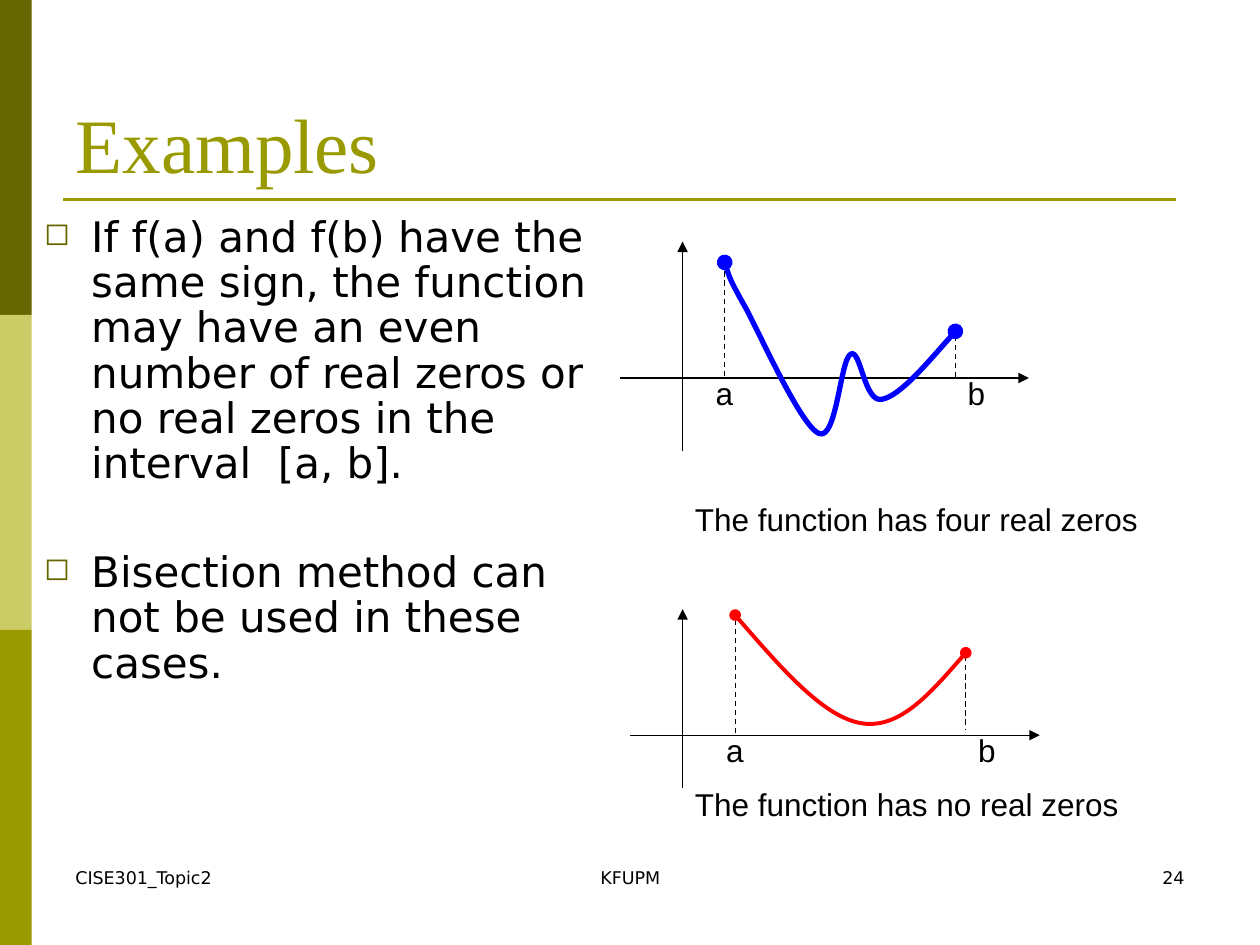
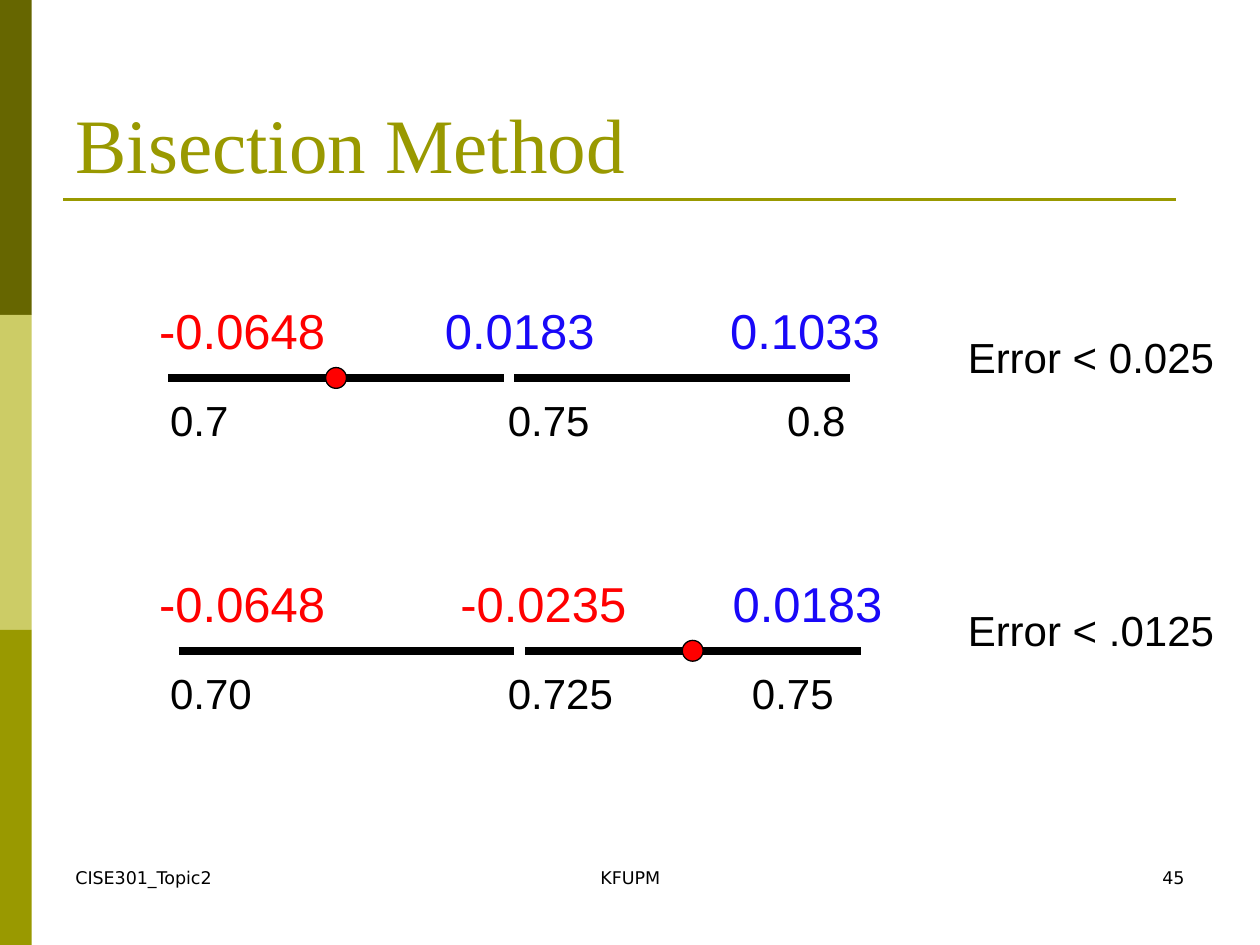
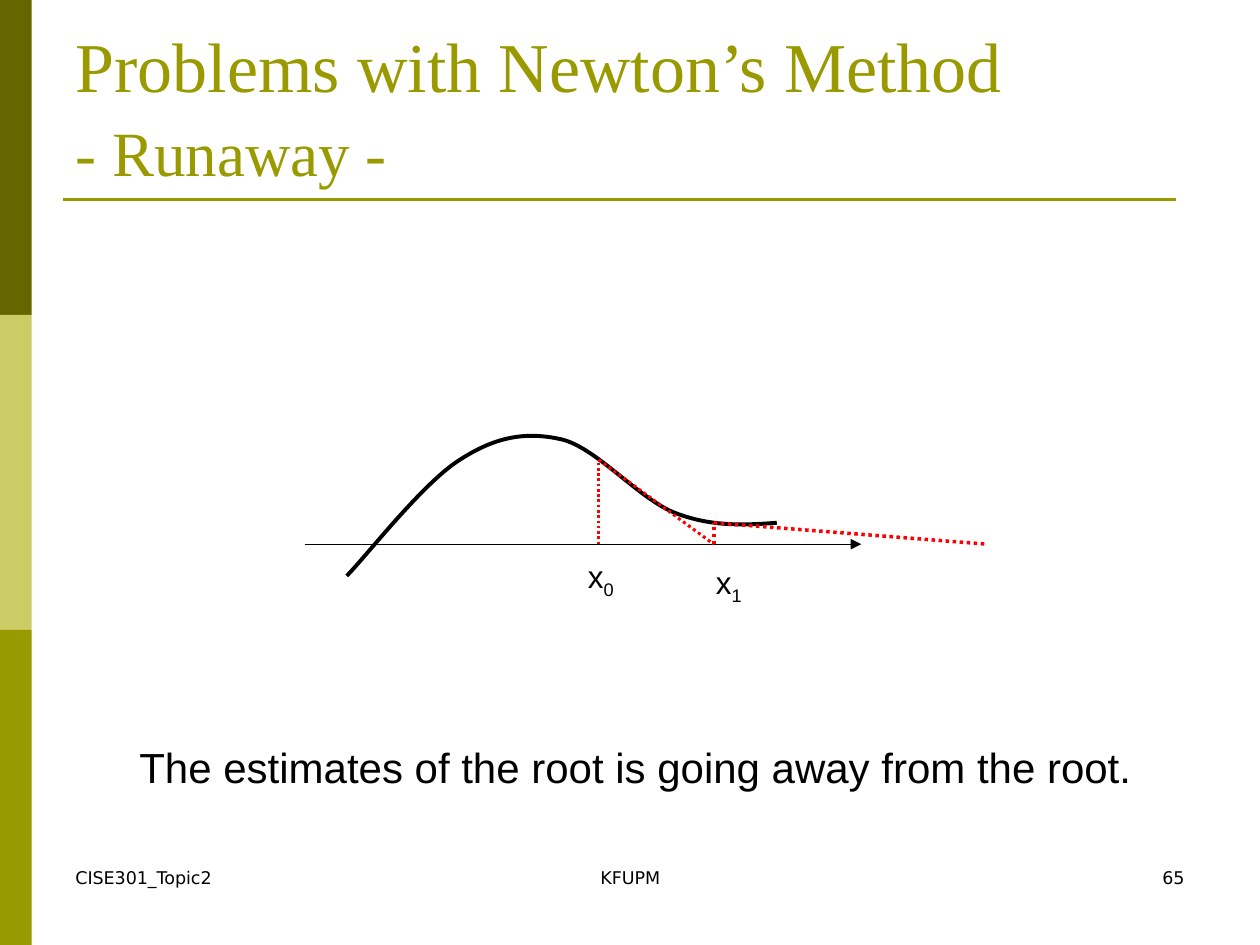
from lxml import etree
from pptx import Presentation
from pptx.dml.color import RGBColor
from pptx.enum.dml import MSO_LINE
from pptx.enum.shapes import MSO_CONNECTOR, MSO_SHAPE
from pptx.enum.text import MSO_ANCHOR, MSO_AUTO_SIZE, PP_ALIGN
from pptx.oxml.ns import qn
from pptx.util import Cm, Pt

LEFT, CENTER, RIGHT = PP_ALIGN.LEFT, PP_ALIGN.CENTER, PP_ALIGN.RIGHT
DASH, DOT = MSO_LINE.DASH, MSO_LINE.ROUND_DOT
STRAIGHT = MSO_CONNECTOR.STRAIGHT
RECTANGLE, OVAL = MSO_SHAPE.RECTANGLE, MSO_SHAPE.OVAL
TITLE_ONLY = 5

COLORS = {
    "olive": "999900", "dark olive": "666600", "pale olive": "CCCC66",
    "black": "000000", "red": "FF0000", "blue": "0000FF", "violet blue": "1908F8",
}
SANS, BODY, SERIF = "Arial", "DejaVu Sans", "Times New Roman"

BANDS = ["dark olive", "pale olive", "olive"]
BAND_WIDTH, BAND_HEIGHT = 0.64, 6.35
COURSE, SCHOOL = "CISE301_Topic2", "KFUPM"

BULLETS = [
    "If f(a) and f(b) have the same sign, the function may have an even number "
    "of real zeros or no real zeros in the interval  [a, b].",
    "Bisection method can not be used in these cases.",
]
GRAPHS = [
    {
        "caption": "The function has four real zeros", "caption_top": 9.95,
        "color": "blue", "weight": 3,
        "axis_x": (12.49, 20.74), "axis_y": (9.1, 4.87), "zero": 7.62,
        "a": (14.61, 5.29, 7.62), "b": (19.26, 6.77, 7.62),
        "curve": [
            (14.61, 5.29),
            (14.66, 5.46), (14.71, 5.64), (15.04, 6.22),
            (15.34, 6.78), (16.15, 8.59), (16.51, 8.74),
            (16.87, 8.89), (16.94, 7.24), (17.15, 7.14),
            (17.35, 7.01), (17.42, 8.13), (17.78, 8.05),
            (18.14, 7.98), (18.69, 7.32), (19.26, 6.68),
        ],
    },
    {
        "caption": "The function has no real zeros", "caption_top": 15.7,
        "color": "red", "weight": 2.25,
        "axis_x": (12.7, 20.96), "axis_y": (15.88, 12.28), "zero": 14.82,
        "a": (14.82, 12.49, 14.82), "b": (19.47, 13.23, 14.71),
        "curve": [
            (14.82, 12.4),
            (15.7, 13.41), (16.59, 14.45), (17.36, 14.58),
            (18.14, 14.71), (18.8, 13.92), (19.47, 13.16),
        ],
    },
]
ORIGIN_X = 13.76

INTERVALS = [
    {
        "values": ["-0.0648", "0.0183", "0.1033"], "value_tabs": [5.76, 11.51],
        "points": ["0.7", "0.75", "0.8"], "point_tabs": [6.81, 12.44],
        "error": "Error < 0.025", "start": 3.39, "level": 7.62, "root_half": 0,
    },
    {
        "values": ["-0.0648", "-0.0235", "0.0183"], "value_tabs": [6.07, 11.56],
        "points": ["0.70", "0.725", "0.75"], "point_tabs": [6.81, 11.73],
        "error": "Error < .0125", "start": 3.6, "level": 13.12, "root_half": 1,
    },
]
HALF_LENGTH, HALF_GAP, ROOT_SIZE = 6.77, 0.21, 0.42

RUNAWAY_CURVE = [
    (15.66, 10.54),
    (14.99, 10.59), (14.33, 10.62), (13.61, 10.34),
    (12.88, 10.06), (12.04, 9.04), (11.33, 8.86),
    (10.59, 8.69), (9.98, 8.81), (9.27, 9.27),
    (8.53, 9.73), (7.37, 11.23), (6.99, 11.61),
]
NEWTON_STEPS = [(12.07, 10.97), (12.07, 9.27), (14.39, 10.97), (14.39, 10.54), (19.9, 10.97)]
STEP_WEIGHTS = [1.5, 1.75, 2, 2]
ESTIMATES = [("0", 11.6, 11.1), ("1", 14.18, 11.22)]
RUNAWAY_NOTE = "The estimates of the root is going away from the root."


def rgb(name):
    return RGBColor.from_string(COLORS[name])


def style_runs(para, size, font=SANS, color="black"):
    for span in para.runs:
        span.font.size = Pt(size)
        span.font.name = font
        span.font.color.rgb = rgb(color)


def add_text(page, text, left, top, width, height, size, font=SANS, align=LEFT, wrap=True):
    box = page.shapes.add_textbox(Cm(left), Cm(top), Cm(width), Cm(height))
    box.text_frame.word_wrap = wrap
    box.text_frame.text = text
    for para in box.text_frame.paragraphs:
        para.alignment = align
        style_runs(para, size, font)
    return box


def add_ends(shape, **ends):
    outline = shape.element.find(".//" + qn("a:ln"))
    for end, kind in ends.items():
        etree.SubElement(outline, qn("a:" + end), type=kind)


def add_line(page, start, end, weight=0.75, color="black", dash=None, arrow=False):
    line = page.shapes.add_connector(STRAIGHT, *(Cm(value) for value in (*start, *end)))
    line.line.color.rgb = rgb(color)
    line.line.width = Pt(weight)
    if dash:
        line.line.dash_style = dash
    if arrow:
        add_ends(line, tailEnd="triangle")
    etree.SubElement(line.element.find(qn("p:spPr")), qn("a:effectLst"))
    return line


def add_filled(page, kind, left, top, width, height, color):
    shape = page.shapes.add_shape(kind, Cm(left), Cm(top), Cm(width), Cm(height))
    shape.shadow.inherit = False
    shape.fill.solid()
    shape.fill.fore_color.rgb = rgb(color)
    shape.line.fill.background()
    return shape


def add_curve(page, points, color, weight):
    start, *controls = [(Cm(x), Cm(y)) for x, y in points]
    builder = page.shapes.build_freeform(*start)
    builder.add_line_segments(controls, close=False)
    curve = builder.convert_to_shape()
    curve.shadow.inherit = False
    curve.fill.background()
    curve.line.color.rgb = rgb(color)
    curve.line.width = Pt(weight)
    outline = curve.element.find(".//" + qn("a:path"))
    segments = outline.findall(qn("a:lnTo"))
    for first in range(0, len(segments), 3):
        bezier = etree.SubElement(outline, qn("a:cubicBezTo"))
        for segment in segments[first:first + 3]:
            bezier.append(segment[0])
            outline.remove(segment)
    return curve


def decorate_layout(page, layout):
    parts = [
        add_filled(page, RECTANGLE, 0, index * BAND_HEIGHT, BAND_WIDTH, BAND_HEIGHT, color)
        for index, color in enumerate(BANDS)
    ]
    parts.append(add_line(page, (1.27, 4.02), (23.71, 4.02), 1.5, "olive"))
    for number, part in enumerate(parts, 101):
        part.element.find(".//" + qn("p:cNvPr")).set("id", str(number))
        layout.shapes.element.append(part.element)


def add_page(deck, title, sizes, number):
    page = deck.slides.add_slide(deck.slide_layouts[TITLE_ONLY])
    heading = page.shapes.title
    heading.left, heading.top, heading.width, heading.height = Cm(1.27), Cm(0.76), Cm(22.86), Cm(3.18)
    frame = heading.text_frame
    frame.text = title
    frame.word_wrap = True
    frame.auto_size = MSO_AUTO_SIZE.NONE
    frame.vertical_anchor = MSO_ANCHOR.BOTTOM
    for para, size in zip(frame.paragraphs, sizes):
        para.alignment = LEFT
        style_runs(para, size, SERIF, "olive")
    footers = [
        (COURSE, 1.27, 5.93, LEFT),
        (SCHOOL, 8.68, 8.05, CENTER),
        (str(number), 18.2, 5.93, RIGHT),
    ]
    for text, left, width, align in footers:
        add_text(page, text, left, 17.36, width, 1.27, 10, BODY, align)
    return page


def add_bullets(page):
    box = add_text(page, "\n".join(BULLETS), 0.64, 4.23, 12.07, 11, 24, BODY)
    for para in box.text_frame.paragraphs:
        para.line_spacing = 0.9
    para.space_before = Pt(36)
    for properties in box.element.iter(qn("a:pPr")):
        properties.set("marL", str(Cm(0.95)))
        properties.set("indent", str(-Cm(0.95)))
        tint = etree.SubElement(properties, qn("a:buClr"))
        etree.SubElement(tint, qn("a:srgbClr"), val=COLORS["dark olive"])
        etree.SubElement(properties, qn("a:buSzPct"), val="75000")
        etree.SubElement(properties, qn("a:buChar"), char="◻")


def add_graph(page, graph):
    zero = graph["zero"]
    axis_left, axis_right = graph["axis_x"]
    axis_bottom, axis_top = graph["axis_y"]
    add_line(page, (axis_left, zero), (axis_right, zero), arrow=True)
    add_line(page, (ORIGIN_X, axis_bottom), (ORIGIN_X, axis_top), arrow=True)
    for name, offset in (("a", 1.06), ("b", 0.63)):
        x, top, bottom = graph[name]
        add_line(page, (x, top), (x, bottom), dash=DASH)
        add_text(page, name, x - offset, zero - 0.21, 1.48, 1.02, 18, align=RIGHT)
    curve = add_curve(page, graph["curve"], graph["color"], graph["weight"])
    add_ends(curve, headEnd="oval", tailEnd="oval")
    add_text(page, graph["caption"], ORIGIN_X, graph["caption_top"], 9.53, 1.02, 18)


def set_tabs(box, stops):
    properties = box.element.find(".//" + qn("a:pPr"))
    tabs = etree.SubElement(properties, qn("a:tabLst"))
    for stop in stops:
        etree.SubElement(tabs, qn("a:tab"), pos=str(Cm(stop)), algn="l")


def add_interval(page, interval):
    level = interval["level"]
    points = add_text(page, "\t".join(interval["points"]), 3.18, level + 0.21, 14.18, 1.27, 24)
    set_tabs(points, interval["point_tabs"])
    values = add_text(page, "", 2.96, level - 1.69, 15.24, 1.44, 28)
    set_tabs(values, interval["value_tabs"])
    para = values.text_frame.paragraphs[0]
    for index, value in enumerate(interval["values"]):
        span = para.add_run()
        span.text = "\t" + value if index else value
    style_runs(para, 28)
    for span, value in zip(para.runs, interval["values"]):
        span.font.color.rgb = rgb("red" if value.startswith("-") else "violet blue")
    add_text(page, interval["error"], 19.26, level - 1.06, 6.14, 1.27, 24)
    starts = [interval["start"] + half * (HALF_LENGTH + HALF_GAP) for half in range(2)]
    for start in starts:
        add_line(page, (start, level), (start + HALF_LENGTH, level), 4.5)
    center = starts[interval["root_half"]] + HALF_LENGTH / 2
    root = add_filled(page, OVAL, center - ROOT_SIZE / 2, level - ROOT_SIZE / 2,
                      ROOT_SIZE, ROOT_SIZE, "red")
    root.line.color.rgb = rgb("black")
    root.line.width = Pt(0.75)


def add_runaway(page):
    add_text(page, RUNAWAY_NOTE, 2.12, 14.82, 21.38, 1.27, 24, align=CENTER)
    add_curve(page, RUNAWAY_CURVE, "black", 2.25)
    add_line(page, (6.14, 10.97), (17.36, 10.97), arrow=True)
    for start, end, weight in zip(NEWTON_STEPS, NEWTON_STEPS[1:], STEP_WEIGHTS):
        add_line(page, start, end, weight, "red", DOT)
    for index, left, top in ESTIMATES:
        box = add_text(page, "x", left, top, 1.06, 1.02, 18, wrap=False)
        para = box.text_frame.paragraphs[0]
        para.add_run().text = index
        style_runs(para, 18)
        box.element.findall(".//" + qn("a:rPr"))[1].set("baseline", "-25000")


def main():
    deck = Presentation()
    deck.slide_width, deck.slide_height = Cm(25.4), Cm(19.05)

    examples = add_page(deck, "Examples", [44], 24)
    decorate_layout(examples, deck.slide_layouts[TITLE_ONLY])
    add_bullets(examples)
    for graph in GRAPHS:
        add_graph(examples, graph)

    bisection = add_page(deck, "Bisection Method", [44], 45)
    for interval in INTERVALS:
        add_interval(bisection, interval)

    runaway = add_page(deck, "Problems with Newton’s Method\n- Runaway -", [40, 36], 65)
    runaway.shapes.title.text_frame.paragraphs[1].space_before = Pt(4)
    add_runaway(runaway)

    deck.save("out.pptx")


if __name__ == "__main__":
    main()
